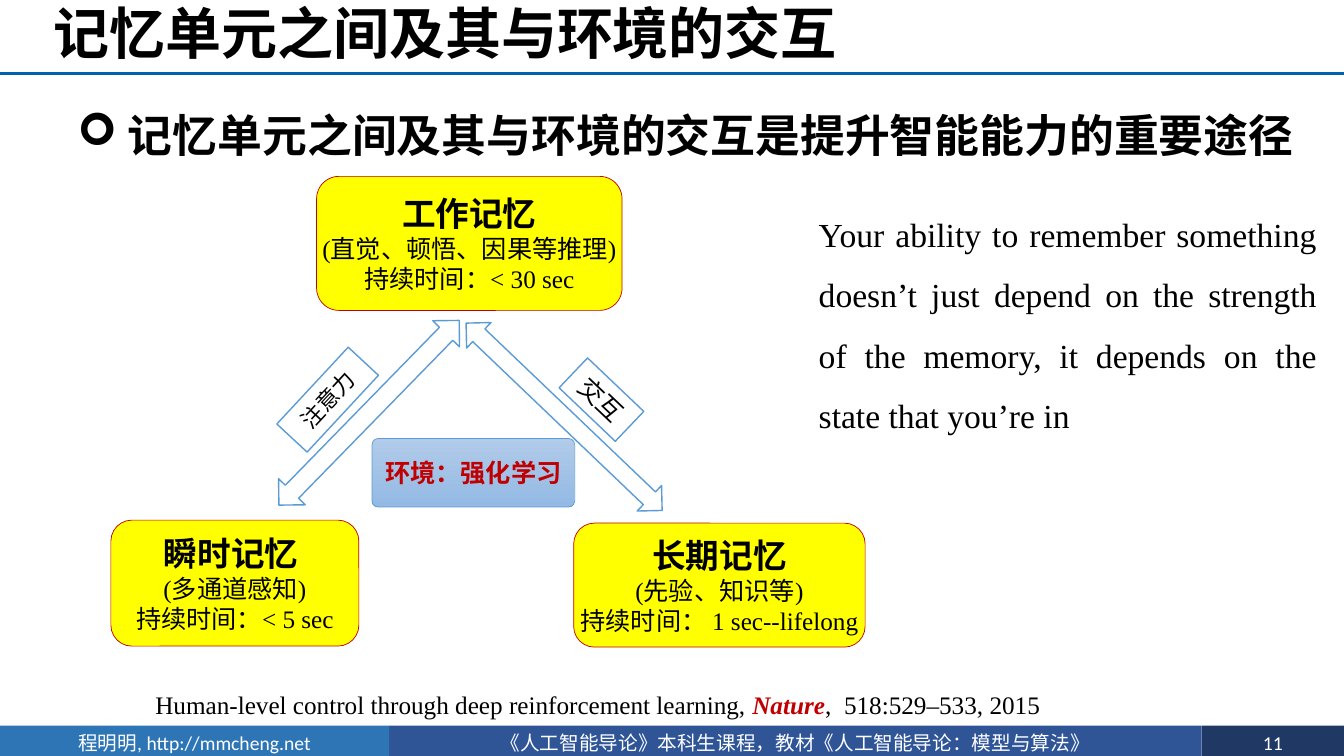
from dataclasses import dataclass

from lxml import etree
from pptx import Presentation
from pptx.dml.color import RGBColor
from pptx.enum.shapes import MSO_CONNECTOR, MSO_SHAPE
from pptx.enum.text import MSO_ANCHOR, MSO_AUTO_SIZE, PP_ALIGN
from pptx.oxml.ns import qn
from pptx.util import Inches, Pt

RECT, ROUND = MSO_SHAPE.RECTANGLE, MSO_SHAPE.ROUNDED_RECTANGLE
ARROW = MSO_SHAPE.LEFT_RIGHT_ARROW
LEFT, CENTER, JUSTIFY = PP_ALIGN.LEFT, PP_ALIGN.CENTER, PP_ALIGN.JUSTIFY
TOP, MIDDLE = MSO_ANCHOR.TOP, MSO_ANCHOR.MIDDLE


@dataclass(frozen=True)
class Theme:
    black: str = "000000"
    white: str = "FFFFFF"
    red: str = "C00000"
    yellow: str = "FFFF00"
    outline: str = "5B9BD5"
    rule: str = "0062AC"
    bar_left: str = "2E75B6"
    bar_middle: str = "2F5597"
    bar_right: str = "203864"
    env_top: str = "B1CBE9"
    env_bottom: str = "93B9E4"
    cjk: str = "Noto Sans CJK SC"
    serif: str = "Times New Roman"
    sans: str = "Calibri"
    title: int = 40
    heading: int = 32
    large: int = 24
    body: int = 18
    label: int = 16
    footer: int = 14


T = Theme()


def write(sp, paragraphs, font=T.serif, size=T.body, color=T.black, bold=False,
          align=LEFT, anchor=TOP, inset=(0.07, 0.04), wrap=True, spacing=None):
    """Fill sp with paragraphs, each a list of (text, overrides) runs."""
    tf = sp.text_frame
    tf.auto_size = MSO_AUTO_SIZE.NONE
    tf.word_wrap = wrap
    tf.vertical_anchor = anchor
    tf.margin_left = tf.margin_right = Inches(inset[0])
    tf.margin_top = tf.margin_bottom = Inches(inset[1])
    for i, runs in enumerate(paragraphs):
        p = tf.paragraphs[0] if i == 0 else tf.add_paragraph()
        p.alignment = align
        if spacing:
            p.line_spacing = spacing
        for text, own in runs:
            r = p.add_run()
            r.text = text
            r.font.name = font
            r.font.size = Pt(own.get("size", size))
            r.font.bold = own.get("bold", bold)
            r.font.italic = own.get("italic", False)
            r.font.color.rgb = RGBColor.from_string(own.get("color", color))
            ea = etree.SubElement(r._r.get_or_add_rPr(), qn("a:ea"))
            ea.set("typeface", T.cjk)


def add_box(kind, box, fill, line=None, width=1, rotation=0):
    sp = slide.shapes.add_shape(kind, *map(Inches, box))
    sp.shadow.inherit = False
    sp.rotation = rotation
    sp.fill.solid()
    sp.fill.fore_color.rgb = RGBColor.from_string(fill)
    if line:
        sp.line.color.rgb = RGBColor.from_string(line)
        sp.line.width = Pt(width)
    else:
        sp.line.fill.background()
    return sp


prs = Presentation()
prs.slide_width, prs.slide_height = Inches(13.33), Inches(7.5)
slide = prs.slides.add_slide(prs.slide_layouts[5])

# Footer bar
for left, width, fill, text in [
    (3.86, 8.06, T.bar_middle, "《人工智能导论》本科生课程，教材《人工智能导论：模型与算法》"),
    (0, 3.86, T.bar_left, "程明明, http://mmcheng.net"),
    (11.92, 1.41, T.bar_right, "11"),
]:
    sp = add_box(RECT, (left, 7.2, width, 0.34), fill)
    write(sp, [[(text, {})]], font=T.sans, size=T.footer, color=T.white,
          align=CENTER, inset=(0.1, 0.05))

# Title and its rule
rule = slide.shapes.add_connector(MSO_CONNECTOR.STRAIGHT, 0, Inches(0.73),
                                  prs.slide_width, Inches(0.73))
rule.line.color.rgb = RGBColor.from_string(T.rule)
rule.line.width = Pt(2)
etree.SubElement(rule._element.spPr, qn("a:effectLst"))

title = slide.shapes.title
title.left, title.top, title.width, title.height = map(Inches, (0.43, 0, 12.9, 0.73))
write(title, [[("记忆单元之间及其与环境的交互", {})]], font=T.cjk, size=T.title,
      bold=True, anchor=MIDDLE, inset=(0.1, 0.05), spacing=0.9)

# Bulleted heading
heading = slide.shapes.add_textbox(*map(Inches, (0.67, 1.02, 12.45, 0.64)))
pPr = heading.text_frame.paragraphs[0]._p.get_or_add_pPr()
pPr.set("marL", str(Inches(0.5)))
pPr.set("indent", str(Inches(-0.5)))
etree.SubElement(pPr, qn("a:buFont")).set("typeface", "Wingdings")
etree.SubElement(pPr, qn("a:buChar")).set("char", "➢")
write(heading, [[("记忆单元之间及其与环境的交互是提升智能能力的重要途径", {})]],
      font=T.cjk, size=T.heading, bold=True, inset=(0.1, 0.05))

# Memory units
for box, name, role, duration in [
    ((1.1, 5.16, 2.46, 1.25), "瞬时记忆 ", "(多通道感知)", "持续时间：< 5 sec"),
    ((3.14, 1.75, 3.03, 1.33), "工作记忆", "(直觉、顿悟、因果等推理)", "持续时间：< 30 sec"),
    ((5.69, 5.19, 2.89, 1.23), "长期记忆", "(先验、知识等)", "持续时间： 1 sec--lifelong"),
]:
    sp = add_box(ROUND, box, T.yellow, T.red, 0.5)
    write(sp, [[(name, {"size": T.large, "bold": True})], [(role, {})], [(duration, {})]],
          align=CENTER, anchor=MIDDLE, inset=(0.06, 0), wrap=False)

# Links between the units
for box, angle in [((4.25, 3.96, 2.69, 0.35), 43.7), ((2.38, 3.91, 2.56, 0.37), 134.3)]:
    add_box(ARROW, box, T.white, T.outline, rotation=angle)

for box, angle, text, size in [
    ((2.73, 3.76, 1.04, 0.41), 312.9, "注意力", T.label),
    ((5.58, 3.76, 0.77, 0.41), 43.6, "交互", T.body),
]:
    sp = add_box(RECT, box, T.white, T.outline, rotation=angle)
    write(sp, [[(text, {})]], font=T.sans, size=size, align=CENTER, anchor=MIDDLE)

# Environment
env = add_box(ROUND, (3.69, 4.35, 2.01, 0.68), T.env_top, T.outline, 0.5)
env.adjustments[0] = 0.09
env.fill.gradient()
env.fill.gradient_angle = 270
for stop, color in zip(env.fill.gradient_stops, (T.env_top, T.env_bottom)):
    stop.color.rgb = RGBColor.from_string(color)
write(env, [[("环境：强化学习", {})]], color=T.red, bold=True, align=CENTER,
      anchor=MIDDLE, wrap=False)

# Citation and quotation
citation = slide.shapes.add_textbox(*map(Inches, (1.47, 6.8, 9.35, 0.38)))
write(citation, [[
    ("Human-level control through deep reinforcement learning, ", {}),
    ("Nature", {"color": T.red, "bold": True, "italic": True}),
    (",  518:529–533, 2015", {}),
]])

quote = slide.shapes.add_textbox(*map(Inches, (8.05, 1.88, 5.08, 2.43)))
write(quote, [[("Your ability to remember something doesn’t just depend on the strength "
                "of the memory, it depends on the state that you’re in", {})]],
      size=T.large, align=JUSTIFY, spacing=1.5)

prs.save("out.pptx")
